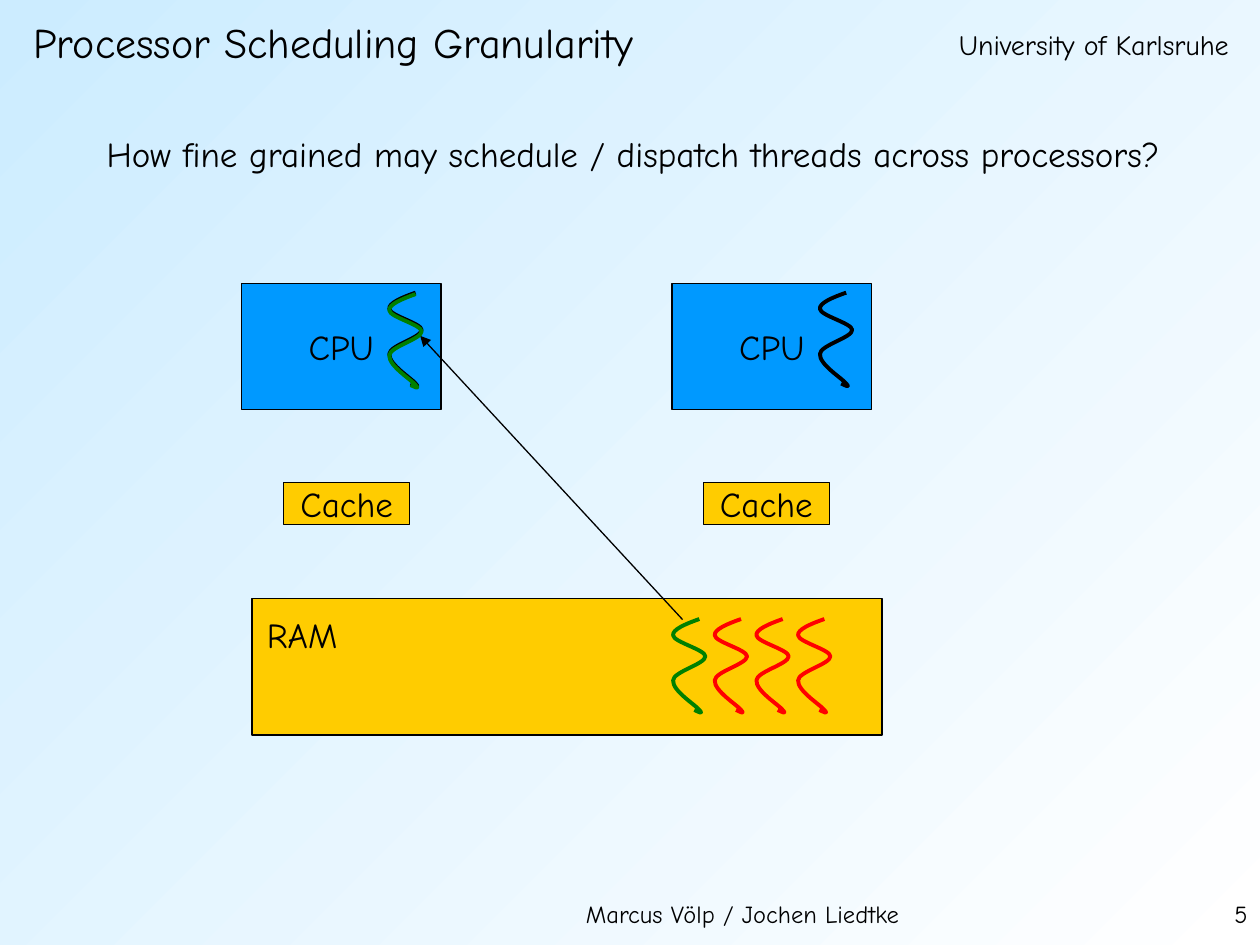
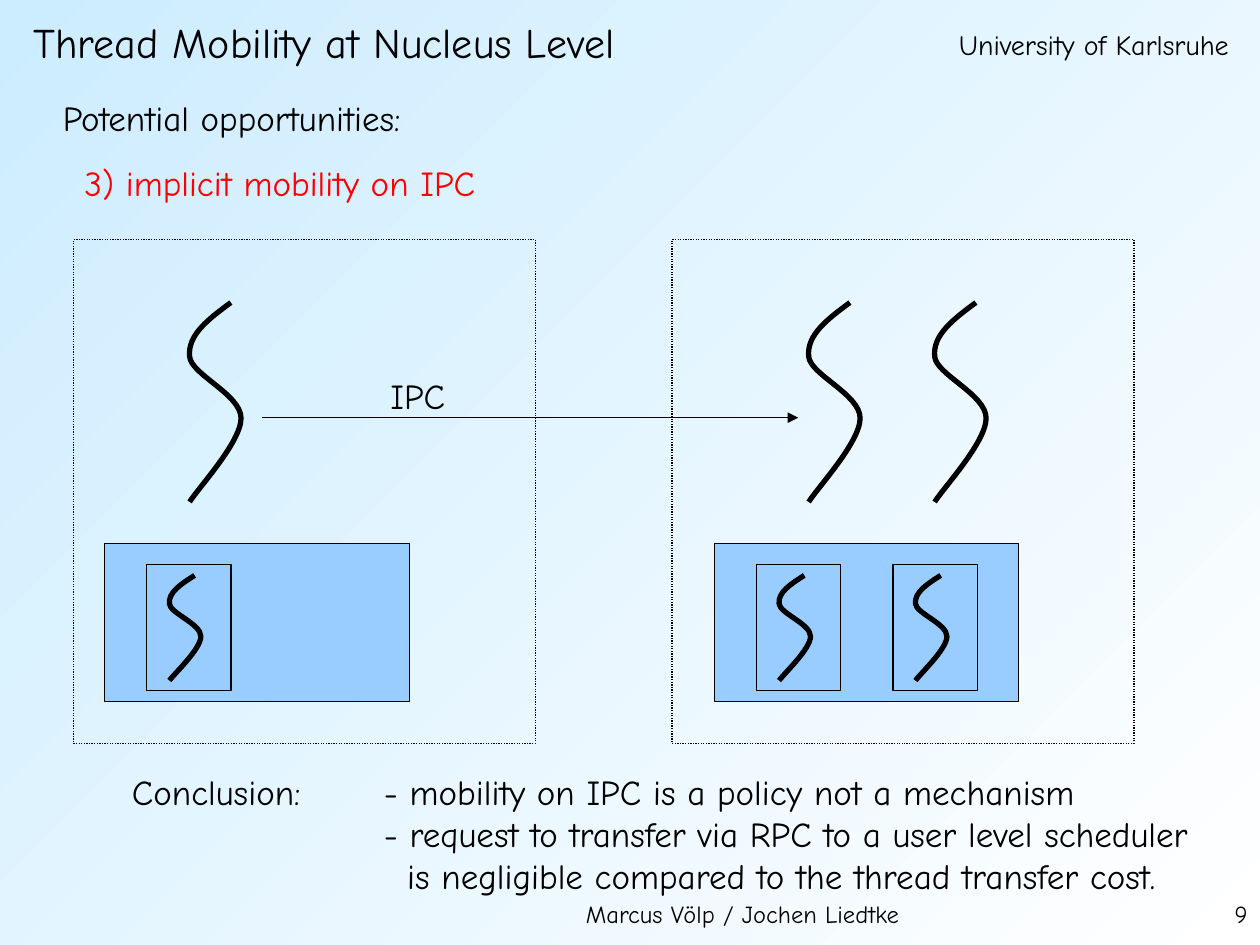
from lxml.etree import SubElement
from pptx import Presentation
from pptx.dml.color import RGBColor
from pptx.enum.dml import MSO_LINE_DASH_STYLE as Dash
from pptx.enum.shapes import MSO_CONNECTOR as Connector, MSO_SHAPE as Shape
from pptx.enum.text import MSO_ANCHOR as Anchor, PP_ALIGN as Align
from pptx.oxml.ns import qn
from pptx.util import Cm, Pt

FONT = "Comic Neue"
BLACK = RGBColor(0x00, 0x00, 0x00)
WHITE = RGBColor(0xFF, 0xFF, 0xFF)
SKY = RGBColor(0xCC, 0xEC, 0xFF)
CPU_BLUE = RGBColor(0x00, 0x99, 0xFF)
KERNEL_BLUE = RGBColor(0x99, 0xCC, 0xFF)
MEMORY_YELLOW = RGBColor(0xFF, 0xCC, 0x00)
RED = RGBColor(0xFF, 0x00, 0x00)
GREEN = RGBColor(0x00, 0x80, 0x00)

# Bezier points as fractions of the box: a start, then three per curve
COILED_THREAD = [
    (0.82, 0), (0.41, 0.05), (0, 0.11), (0.03, 0.17),
    (0.04, 0.24), (1, 0.32), (1, 0.39),
    (1, 0.47), (0.04, 0.55), (0.03, 0.64),
    (0, 0.75), (0.72, 0.9), (0.82, 0.95),
    (0.95, 1), (0.8, 0.97), (0.67, 0.95),
]
PLAIN_THREAD = [
    (0.81, 0), (0.41, 0.08), (0, 0.16), (0.04, 0.27),
    (0.06, 0.36), (1, 0.46), (1, 0.58),
    (1, 0.7), (0.2, 0.93), (0.04, 1),
]


# Basic parts

def write(para, text, size=20, color=BLACK):
    span = para.add_run()
    span.text = text
    span.font.name = FONT
    span.font.size = Pt(size)
    span.font.color.rgb = color


def add_text(page, left, top, width, height, text, size=20, color=BLACK, align=Align.LEFT):
    box = page.shapes.add_textbox(Cm(left), Cm(top), Cm(width), Cm(height))
    box.text_frame.word_wrap = False
    para = box.text_frame.paragraphs[0]
    para.alignment = align
    write(para, text, size, color)
    return box


def add_box(page, left, top, width, height, fill=None, label="", dash=None):
    box = page.shapes.add_shape(Shape.RECTANGLE, Cm(left), Cm(top), Cm(width), Cm(height))
    box.shadow.inherit = False
    if fill is None:
        box.fill.background()
    else:
        box.fill.solid()
        box.fill.fore_color.rgb = fill
    box.line.color.rgb = BLACK
    box.line.width = Pt(0.75)
    if dash is not None:
        box.line.dash_style = dash
    if label:
        frame = box.text_frame
        frame.word_wrap = False
        frame.vertical_anchor = Anchor.MIDDLE
        frame.paragraphs[0].alignment = Align.CENTER
        write(frame.paragraphs[0], label)
    return box


def add_thread(page, left, top, width, height, curve, color=BLACK, weight=3):
    points = [(Cm(left + x * width), Cm(top + y * height)) for x, y in curve]
    builder = page.shapes.build_freeform(*points[0])
    builder.add_line_segments(points[1:], close=False)
    thread = builder.convert_to_shape()
    thread.shadow.inherit = False
    thread.fill.background()
    thread.line.color.rgb = color
    thread.line.width = Pt(weight)
    # Join every three straight steps into one Bezier curve
    steps = list(thread.element.iter(qn("a:lnTo")))
    outline = steps[0].getparent()
    for first in range(0, len(steps), 3):
        bend = SubElement(outline, qn("a:cubicBezTo"))
        for step in steps[first:first + 3]:
            bend.append(step[0])
            outline.remove(step)


def add_coil(page, left, top, color=BLACK):
    add_thread(page, left, top, 0.67, 1.93, COILED_THREAD, color, 2.25)


def add_arrow(page, start_x, start_y, end_x, end_y):
    arrow = page.shapes.add_connector(
        Connector.STRAIGHT, Cm(start_x), Cm(start_y), Cm(end_x), Cm(end_y))
    arrow.line.color.rgb = BLACK
    arrow.line.width = Pt(0.75)
    SubElement(arrow.line._get_or_add_ln(), qn("a:tailEnd"), type="triangle")
    SubElement(arrow.element.spPr, qn("a:effectLst"))


# Shared page frame

def paint_background(master):
    fill = master.background.fill
    fill.gradient()
    fill.gradient_angle = 135
    for stop, color in zip(fill.gradient_stops, (WHITE, SKY)):
        stop.color.rgb = color


def add_page(deck, title, number):
    page = deck.slides.add_slide(deck.slide_layouts[5])
    heading = page.shapes.title
    heading.left, heading.top, heading.width, heading.height = Cm(0.42), Cm(0.21), Cm(15.88), Cm(1.27)
    heading.text_frame.vertical_anchor = Anchor.MIDDLE
    para = heading.text_frame.paragraphs[0]
    para.alignment = Align.LEFT
    write(para, title, 24)
    add_text(page, 19.08, 0.44, 5.97, 0.94, "University of Karlsruhe", 16)
    add_text(page, 11.56, 18, 7.04, 0.86, "Marcus Völp / Jochen Liedtke", 14)
    add_text(page, 23.7, 18, 1.7, 1.05, number, 14, align=Align.RIGHT).text_frame.word_wrap = True
    return page


# Slide: processors, caches and memory

def draw_cpu(page, left, top):
    add_box(page, left, top, 4.02, 2.54, CPU_BLUE, "CPU")
    add_coil(page, left + 2.96, top + 0.18)


def draw_ram(page, left, top):
    add_box(page, left, top, 12.7, 2.75, MEMORY_YELLOW)
    add_text(page, left + 0.05, top + 0.18, 1.93, 1.12, "RAM")
    for place, color in enumerate((GREEN, RED, RED, RED)):
        add_coil(page, left + 8.47 + 0.84 * place, top + 0.41, color)


def build_granularity(deck):
    page = add_page(deck, "Processor Scheduling Granularity", "5")
    add_text(page, 1.9, 2.54, 21.82, 1.12,
             "How fine grained may schedule / dispatch threads across processors?")
    for cpu_left, cache_left in ((4.87, 5.72), (13.55, 14.18)):
        draw_cpu(page, cpu_left, 5.72)
        add_box(page, cache_left, 9.73, 2.54, 0.85, MEMORY_YELLOW, "Cache")
    draw_ram(page, 5.08, 12.07)
    # The green thread moves from memory to the first processor
    add_arrow(page, 13.76, 12.49, 8.47, 6.77)
    add_coil(page, 7.83, 5.93, GREEN)


# Slide: threads moving on IPC

def draw_process(page, left, top, kernel_inset, thread_insets, slot_insets):
    kernel_left = left + kernel_inset
    add_box(page, kernel_left, top + 6.13, 6.14, 3.18, KERNEL_BLUE)
    for inset in thread_insets:
        add_thread(page, left + inset, top + 1.27, 1.08, 4.02, PLAIN_THREAD)
    for inset in slot_insets:
        slot_left = kernel_left + inset
        add_thread(page, slot_left + 0.43, top + 6.77, 0.66, 2.12, PLAIN_THREAD)
        add_box(page, slot_left, top + 6.55, 1.7, 2.54)
    add_box(page, left, top, 9.31, 10.16, dash=Dash.ROUND_DOT)


def draw_conclusion(page, left, top):
    box = add_text(page, left, top, 21.89, 2.79,
                   "Conclusion:\t- mobility on IPC is a policy not a mechanism")
    frame = box.text_frame
    properties = frame.paragraphs[0]._p.get_or_add_pPr()
    tabs = SubElement(properties, qn("a:tabLst"))
    SubElement(tabs, qn("a:tab"), pos=str(Cm(5.08)), algn="l")
    for indent, text in (
        (5.08, "- request to transfer via RPC to a user level scheduler"),
        (5.55, "is negligible compared to the thread transfer cost."),
    ):
        para = frame.add_paragraph()
        para._p.get_or_add_pPr().set("marL", str(Cm(indent)))
        write(para, text)


def build_mobility(deck):
    page = add_page(deck, "Thread Mobility at Nucleus Level", "9")
    add_text(page, 1.02, 1.83, 7.37, 1.12, "Potential opportunities:")
    add_text(page, 1.45, 3.13, 8.64, 1.12, "3) implicit mobility on IPC", color=RED)
    draw_process(page, 1.48, 4.83, 0.63, [2.3], [0.85])
    draw_process(page, 13.55, 4.83, 0.85, [2.71, 5.25], [0.85, 3.6])
    add_arrow(page, 5.29, 8.42, 16.09, 8.42)
    add_text(page, 7.62, 7.42, 2.2, 1.12, "IPC")
    draw_conclusion(page, 2.41, 15.4)


def main():
    deck = Presentation()
    deck.slide_width, deck.slide_height = Cm(25.4), Cm(19.05)
    paint_background(deck.slide_master)
    build_granularity(deck)
    build_mobility(deck)
    deck.save("out.pptx")


if __name__ == "__main__":
    main()
